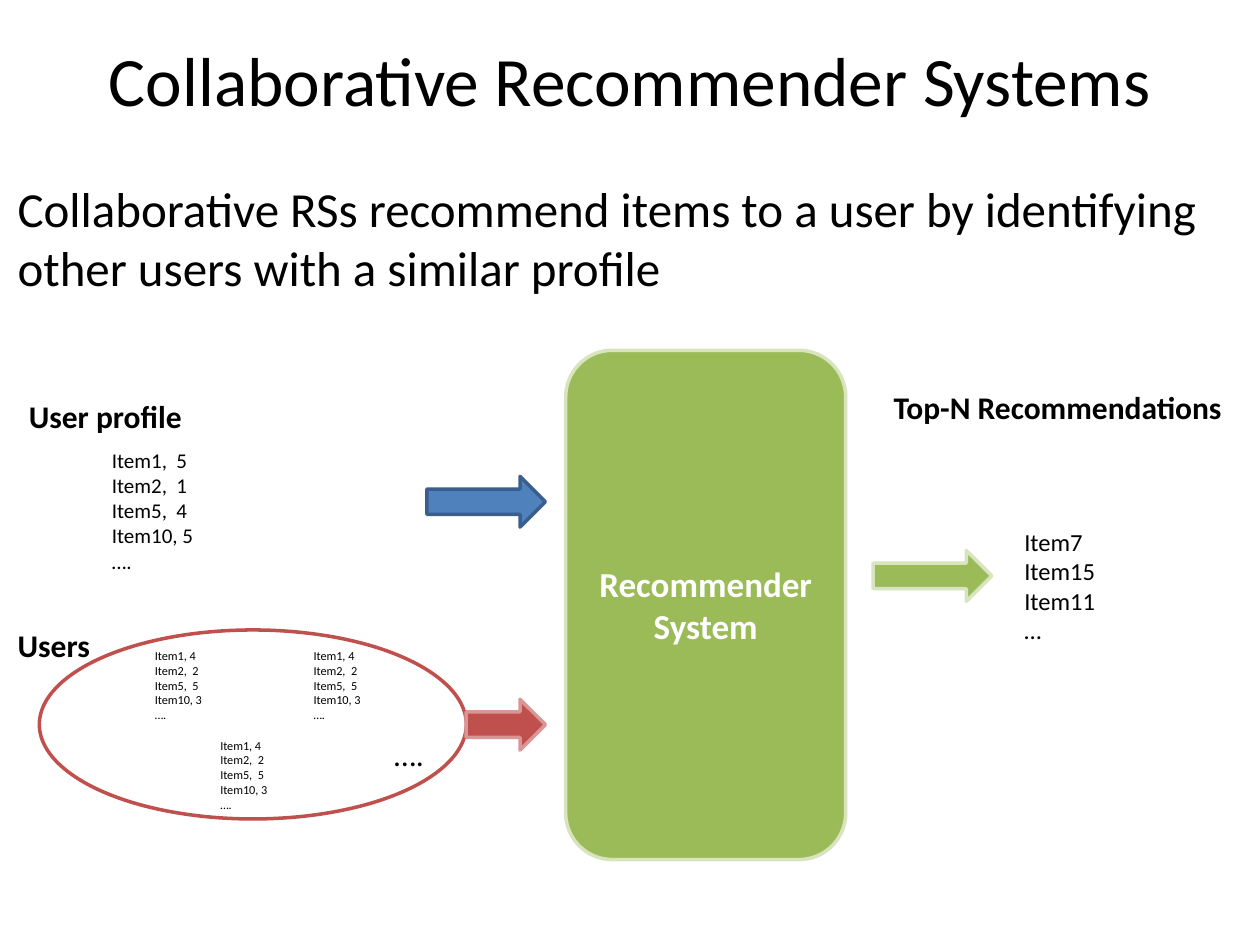
from pptx import Presentation
from pptx.dml.color import RGBColor
from pptx.enum.shapes import MSO_SHAPE
from pptx.enum.text import MSO_ANCHOR, PP_ALIGN
from pptx.util import Pt

RECT, ROUNDED = MSO_SHAPE.RECTANGLE, MSO_SHAPE.ROUNDED_RECTANGLE
OVAL, ARROW = MSO_SHAPE.OVAL, MSO_SHAPE.RIGHT_ARROW
LEFT, CENTER = PP_ALIGN.LEFT, PP_ALIGN.CENTER
TOP, MIDDLE = MSO_ANCHOR.TOP, MSO_ANCHOR.MIDDLE

BLACK = RGBColor(0x00, 0x00, 0x00)
WHITE = RGBColor(0xFF, 0xFF, 0xFF)
GREEN = RGBColor(0x9B, 0xBB, 0x59)
PALE_GREEN = RGBColor(0xD7, 0xE4, 0xBD)
BLUE = RGBColor(0x4F, 0x81, 0xBD)
DARK_BLUE = RGBColor(0x3A, 0x5F, 0x8C)
RED = RGBColor(0xC0, 0x50, 0x4D)
PALE_RED = RGBColor(0xD9, 0x96, 0x94)

PROFILE = ["Item1,  5", "Item2,  1", "Item5,  4", "Item10, 5", "…."]
OTHER_USER = ["Item1, 4", "Item2,  2", "Item5,  5", "Item10, 3", "…."]
TOP_ITEMS = ["Item7", "Item15", "Item11", "…"]
OTHER_USER_SPOTS = [(81.4, 371.5), (172.1, 371.5), (118.8, 422.6)]


def write(s, lines, size, color=BLACK, bold=False, align=LEFT, anchor=TOP, wrap=True):
    tf = s.text_frame
    tf.word_wrap = wrap
    tf.vertical_anchor = anchor
    font = {"name": "Calibri", "size": Pt(size), "bold": bold}
    for i, line in enumerate(lines):
        p = tf.paragraphs[0] if i == 0 else tf.add_paragraph()
        p.alignment = align
        r = p.add_run()
        r.text = line
        for key, value in font.items():
            setattr(r.font, key, value)
        r.font.color.rgb = color


def add_label(slide, box, text, size, **style):
    s = slide.shapes.add_textbox(*map(Pt, box))
    write(s, [text], size, **style)


def add_block(slide, kind, box, fill, line):
    s = slide.shapes.add_shape(kind, *map(Pt, box))
    s.shadow.inherit = False
    if fill is None:
        s.fill.background()
    else:
        s.fill.solid()
        s.fill.fore_color.rgb = fill
    s.line.color.rgb = line
    s.line.width = Pt(2)
    return s


def add_item_list(slide, box, items, size):
    s = add_block(slide, RECT, box, WHITE, WHITE)
    write(s, items, size, anchor=MIDDLE)


def add_arrow(slide, left, top, width, fill, line):
    add_block(slide, ARROW, (left, top, width, 29), fill, line)


def main():
    prs = Presentation()
    prs.slide_width, prs.slide_height = Pt(720), Pt(540)
    slide = prs.slides.add_slide(prs.slide_layouts[6])

    add_label(slide, (36, 0, 648, 90), "Collaborative Recommender Systems", 39.6,
              align=CENTER, anchor=MIDDLE)
    add_label(slide, (3, 98.6, 717, 75),
              "Collaborative RSs recommend items to a user by identifying "
              "other users with a similar profile", 28)

    system = add_block(slide, ROUNDED, (323.3, 200.2, 160, 291), GREEN, PALE_GREEN)
    write(system, ["Recommender System"], 20, WHITE, True, CENTER, MIDDLE)

    add_label(slide, (9.4, 223.2, 102, 29), "User profile", 18, bold=True)
    add_label(slide, (3, 354.2, 142, 29), "Users", 18, bold=True)
    add_label(slide, (494.6, 218.2, 219.6, 29), "Top-N Recommendations", 18,
              bold=True, align=CENTER)

    add_item_list(slide, (578.2, 280.8, 85, 108), TOP_ITEMS, 14)
    add_item_list(slide, (56.9, 257.8, 79.2, 67.7), PROFILE, 12)
    add_label(slide, (218.2, 416.2, 31.7, 29), "….", 18, wrap=False)
    for left, top in OTHER_USER_SPOTS:
        add_item_list(slide, (left, top, 44, 40.3), OTHER_USER, 7)
    add_block(slide, OVAL, (22.5, 360, 244, 108), None, RED)

    add_arrow(slide, 244, 272.2, 67.7, BLUE, DARK_BLUE)
    add_arrow(slide, 266.4, 399.6, 45.3, RED, PALE_RED)
    add_arrow(slide, 499, 314.6, 67.7, GREEN, PALE_GREEN)

    prs.save("out.pptx")


if __name__ == "__main__":
    main()
